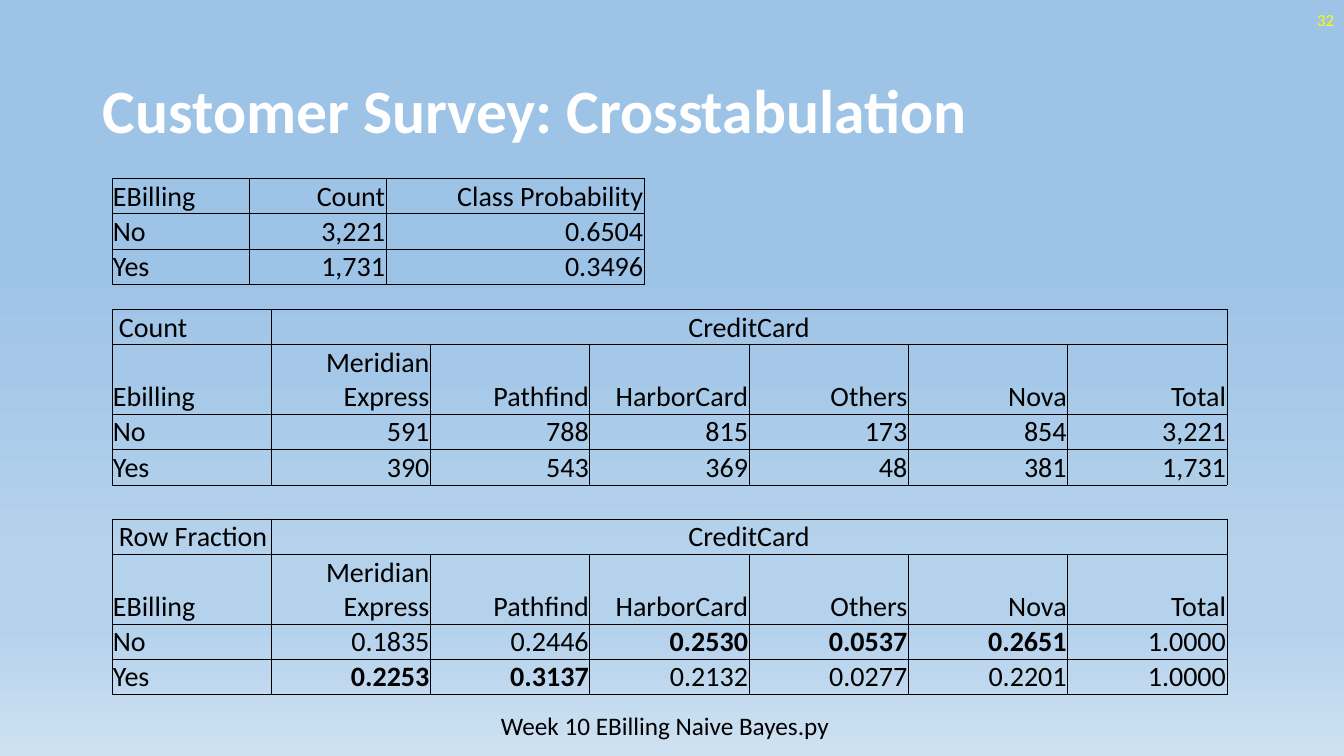
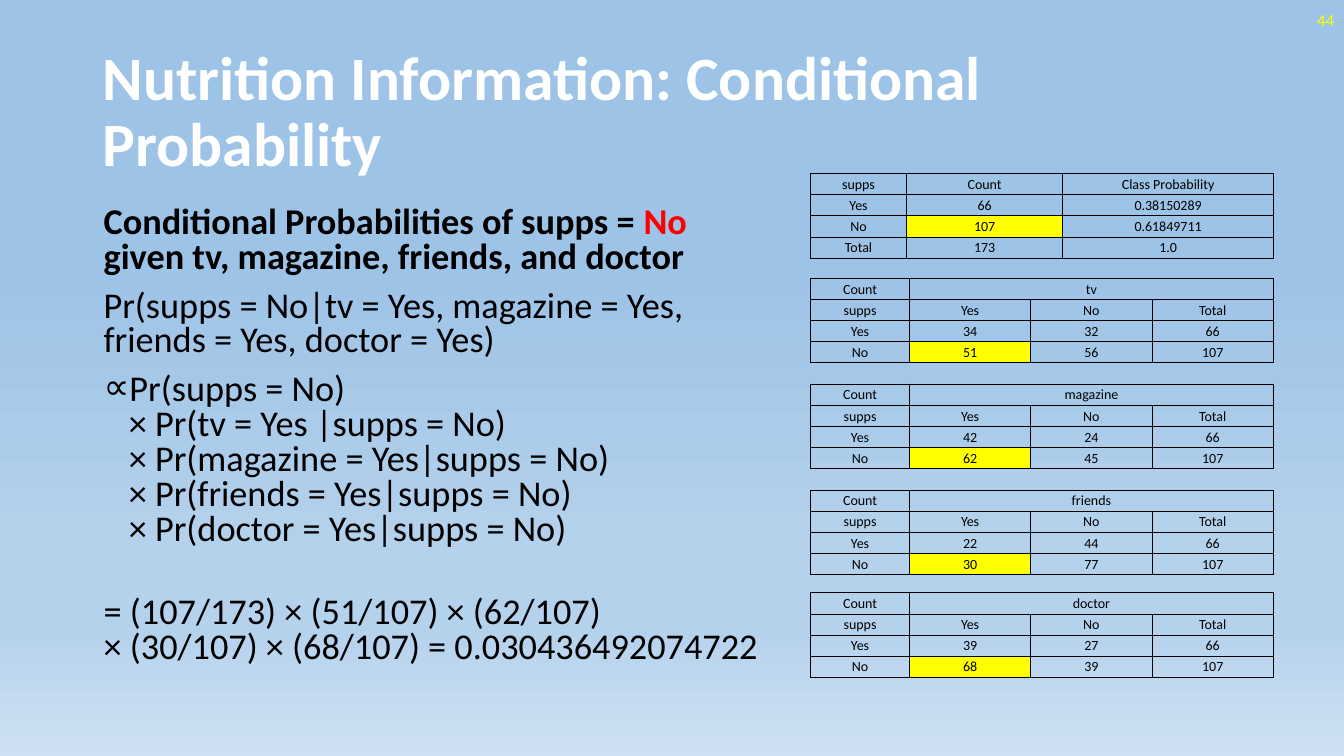
from dataclasses import dataclass

import lxml.etree
import pptx
import pptx.dml.color
import pptx.enum.text
import pptx.oxml.ns
import pptx.presentation
import pptx.shapes.autoshape
import pptx.slide
import pptx.table
import pptx.text.text
import pptx.util

Inches = pptx.util.Inches
Pt = pptx.util.Pt
Align = pptx.enum.text.PP_ALIGN
Anchor = pptx.enum.text.MSO_ANCHOR
qn = pptx.oxml.ns.qn

FONT = "Calibri"
BLACK, WHITE, RED, YELLOW = "000000", "FFFFFF", "FF0000", "FFFF00"
BACKGROUND_STOPS = [(35, "9DC3E6"), (74, "B5D2EC"), (83, "B5D2EC"), (100, "CEE1F2")]
TITLE_ONLY_LAYOUT = 5


@dataclass
class TableStyle:
    size: float
    anchor: Anchor
    label_align: Align
    value_align: Align


@dataclass
class GridTable:
    """A row shorter than the column list spans its last cell to the right edge."""
    left: float
    top: float
    columns: list[float]
    heights: list[float]
    rows: list[list[str]]
    bold: frozenset[str] = frozenset()
    highlighted: tuple[int, int] | None = None
    corner_inset: float = 0.01


@dataclass
class TextRun:
    text: str
    color: str = BLACK
    bold: bool = False


@dataclass
class TextParagraph:
    runs: list[TextRun]
    space_before: float = 10
    bullet: str = ""


SURVEY_STYLE = TableStyle(20, Anchor.BOTTOM, Align.LEFT, Align.RIGHT)
NUTRITION_STYLE = TableStyle(10, Anchor.MIDDLE, Align.CENTER, Align.CENTER)

CARDS = ["Meridian Express", "Pathfind", "HarborCard", "Others", "Nova", "Total"]
SURVEY_LEFT = 1.11
SURVEY_ROW = 0.35
CROSSTAB_COLUMNS = [1.58] * 7
CROSSTAB_HEIGHTS = [SURVEY_ROW, 0.69, SURVEY_ROW, SURVEY_ROW]
SURVEY_TABLES = [
    GridTable(SURVEY_LEFT, 1.77, [1.36, 1.36, 2.56], [SURVEY_ROW] * 3, [
        ["EBilling", "Count", "Class Probability"],
        ["No", "3,221", "0.6504"],
        ["Yes", "1,731", "0.3496"],
    ]),
    GridTable(SURVEY_LEFT, 3.07, CROSSTAB_COLUMNS, CROSSTAB_HEIGHTS, [
        ["Count", "CreditCard"],
        ["Ebilling", *CARDS],
        ["No", "591", "788", "815", "173", "854", "3,221"],
        ["Yes", "390", "543", "369", "48", "381", "1,731"],
    ], corner_inset=0.07),
    GridTable(SURVEY_LEFT, 5.15, CROSSTAB_COLUMNS, CROSSTAB_HEIGHTS, [
        ["Row Fraction", "CreditCard"],
        ["EBilling", *CARDS],
        ["No", "0.1835", "0.2446", "0.2530", "0.0537", "0.2651", "1.0000"],
        ["Yes", "0.2253", "0.3137", "0.2132", "0.0277", "0.2201", "1.0000"],
    ], bold=frozenset({"0.2530", "0.0537", "0.2651", "0.2253", "0.3137"}), corner_inset=0.07),
]

NUTRITION_LEFT, NUTRITION_WIDTH = 8.04, 4.59
NUTRITION_LABEL = 0.98
NUTRITION_HEIGHTS = [0.21] * 4
CLASS_TABLE = GridTable(NUTRITION_LEFT, 1.72, [0.95, 1.55, 2.09], NUTRITION_HEIGHTS, [
    ["supps", "Count", "Class Probability"],
    ["Yes", "66", "0.38150289"],
    ["No", "107", "0.61849711"],
    ["Total", "173", "1.0"],
], highlighted=(2, 1))


def source_table(top: float, source: str, yes_counts: list[str],
                 no_counts: list[str]) -> GridTable:
    value_width = (NUTRITION_WIDTH - NUTRITION_LABEL) / 3
    return GridTable(NUTRITION_LEFT, top, [NUTRITION_LABEL] + [value_width] * 3,
                     NUTRITION_HEIGHTS, [
                         ["Count", source],
                         ["supps", "Yes", "No", "Total"],
                         ["Yes", *yes_counts, "66"],
                         ["No", *no_counts, "107"],
                     ], highlighted=(3, 1))


NUTRITION_TABLES = [
    CLASS_TABLE,
    source_table(2.76, "tv", ["34", "32"], ["51", "56"]),
    source_table(3.81, "magazine", ["42", "24"], ["62", "45"]),
    source_table(4.86, "friends", ["22", "44"], ["30", "77"]),
    source_table(5.88, "doctor", ["39", "27"], ["68", "39"]),
]

DERIVATION = [
    TextParagraph([
        TextRun("Conditional Probabilities of supps = ", bold=True),
        TextRun("No", RED, True),
        TextRun(" given tv, magazine, friends, and doctor", bold=True),
    ], space_before=0),
    TextParagraph([TextRun("Pr(supps = No|tv = Yes, magazine = Yes,\n"
                           "friends = Yes, doctor = Yes)")]),
    TextParagraph([TextRun("Pr(supps = No)\n"
                           "× Pr(tv = Yes |supps = No)\n"
                           "× Pr(magazine = Yes|supps = No)\n"
                           "× Pr(friends = Yes|supps = No)\n"
                           "× Pr(doctor = Yes|supps = No)")], bullet="∝"),
    TextParagraph([TextRun("= (107/173) × (51/107) × (62/107)\n"
                           "× (30/107) × (68/107) = 0.030436492074722")], space_before=35),
]


def rgb(color: str) -> pptx.dml.color.RGBColor:
    return pptx.dml.color.RGBColor.from_string(color)


def add_run(paragraph: pptx.text.text._Paragraph, text: str, size: float,
            color: str = BLACK, bold: bool = False) -> None:
    """Add text to a paragraph, turning each newline into a line break."""
    for index, line in enumerate(text.split("\n")):
        if index:
            paragraph.add_line_break()
        run = paragraph.add_run()
        run.text = line
        run.font.name = FONT
        run.font.size = Pt(size)
        run.font.bold = bold
        run.font.color.rgb = rgb(color)


def set_background(presentation: pptx.presentation.Presentation) -> None:
    fill = presentation.slide_master.background.fill
    fill.gradient()
    fill.gradient_angle = 270
    stop_list = next(presentation.slide_master.element.iter(qn("a:gsLst")))
    for stop in list(stop_list):
        stop_list.remove(stop)
    for position, color in BACKGROUND_STOPS:
        stop = lxml.etree.SubElement(stop_list, qn("a:gs"), pos=str(position * 1000))
        lxml.etree.SubElement(stop, qn("a:srgbClr"), val=color)


def add_text_box(slide: pptx.slide.Slide, left: float, top: float, width: float,
                 height: float) -> pptx.text.text.TextFrame:
    shape = slide.shapes.add_textbox(Inches(left), Inches(top), Inches(width), Inches(height))
    shape.text_frame.word_wrap = True
    return shape.text_frame


def add_slide(presentation: pptx.presentation.Presentation, title: str,
              number: str) -> pptx.slide.Slide:
    slide = presentation.slides.add_slide(presentation.slide_layouts[TITLE_ONLY_LAYOUT])
    shape = slide.shapes.title
    shape.left, shape.top = Inches(0.92), Inches(0.4)
    shape.width, shape.height = Inches(11.5), Inches(1.45)
    frame = shape.text_frame
    frame.auto_size = pptx.enum.text.MSO_AUTO_SIZE.NONE
    frame.vertical_anchor = Anchor.MIDDLE
    paragraph = frame.paragraphs[0]
    paragraph.alignment = Align.LEFT
    paragraph.line_spacing = 0.9
    add_run(paragraph, title, 44, WHITE, True)

    frame = add_text_box(slide, 10.33, 0, 3, 0.4)
    frame.vertical_anchor = Anchor.MIDDLE
    frame.paragraphs[0].alignment = Align.RIGHT
    add_run(frame.paragraphs[0], number, 12, YELLOW)
    return slide


def add_borders(cell: pptx.table._Cell) -> None:
    properties = cell._tc.get_or_add_tcPr()
    for side in ("L", "R", "T", "B"):
        line = lxml.etree.SubElement(properties, qn(f"a:ln{side}"), w=str(Pt(0.5)))
        fill = lxml.etree.SubElement(line, qn("a:solidFill"))
        lxml.etree.SubElement(fill, qn("a:srgbClr"), val=BLACK)


def add_grid_table(slide: pptx.slide.Slide, grid: GridTable, style: TableStyle) -> None:
    column_count = len(grid.columns)
    table = slide.shapes.add_table(
        len(grid.rows), column_count, Inches(grid.left), Inches(grid.top),
        Inches(sum(grid.columns)), Inches(sum(grid.heights))).table
    table.first_row = table.horz_banding = False
    for column, width in zip(table.columns, grid.columns):
        column.width = Inches(width)
    for row, height in zip(table.rows, grid.heights):
        row.height = Inches(height)

    for row_index, texts in enumerate(grid.rows):
        spans = len(texts) < column_count
        for column_index in range(column_count):
            cell = table.cell(row_index, column_index)
            cell.margin_left = cell.margin_right = cell.margin_top = Inches(0.01)
            cell.margin_bottom = 0
            cell.vertical_anchor = style.anchor
            add_borders(cell)
            if (row_index, column_index) == grid.highlighted:
                cell.fill.solid()
                cell.fill.fore_color.rgb = rgb(YELLOW)
            else:
                cell.fill.background()
            if column_index >= len(texts):
                continue
            text = texts[column_index]
            paragraph = cell.text_frame.paragraphs[0]
            if column_index == 0:
                paragraph.alignment = style.label_align
            else:
                paragraph.alignment = Align.CENTER if spans else style.value_align
            add_run(paragraph, text, style.size, bold=text in grid.bold)
        if spans:
            first = table.cell(row_index, len(texts) - 1)
            first.merge(table.cell(row_index, column_count - 1))
    table.cell(0, 0).margin_left = Inches(grid.corner_inset)


def add_bullet(paragraph: pptx.text.text._Paragraph, character: str) -> None:
    properties = paragraph._p.get_or_add_pPr()
    properties.set("marL", str(Inches(0.25)))
    properties.set("indent", str(-Inches(0.25)))
    lxml.etree.SubElement(properties, qn("a:buFont"), typeface=FONT)
    lxml.etree.SubElement(properties, qn("a:buChar"), char=character)


def add_derivation(slide: pptx.slide.Slide) -> None:
    frame = add_text_box(slide, 0.93, 2, 6.73, 4.76)
    for index, content in enumerate(DERIVATION):
        paragraph = frame.add_paragraph() if index else frame.paragraphs[0]
        if content.bullet:
            add_bullet(paragraph, content.bullet)
        paragraph.line_spacing = 0.8
        paragraph.space_before = Pt(content.space_before)
        for run in content.runs:
            add_run(paragraph, run.text, 25.9, run.color, run.bold)


def build_survey_slide(presentation: pptx.presentation.Presentation) -> None:
    slide = add_slide(presentation, "Customer Survey: Crosstabulation", "32")
    for grid in SURVEY_TABLES:
        add_grid_table(slide, grid, SURVEY_STYLE)
    frame = add_text_box(slide, 4.87, 7, 3.49, 0.4)
    frame.word_wrap = False
    add_run(frame.paragraphs[0], "Week 10 EBilling Naive Bayes.py", 18)


def build_nutrition_slide(presentation: pptx.presentation.Presentation) -> None:
    slide = add_slide(presentation, "Nutrition Information: Conditional Probability", "44")
    add_derivation(slide)
    for grid in NUTRITION_TABLES:
        add_grid_table(slide, grid, NUTRITION_STYLE)


def main() -> None:
    presentation = pptx.Presentation()
    presentation.slide_width = Inches(13.33)
    presentation.slide_height = Inches(7.5)
    set_background(presentation)
    build_survey_slide(presentation)
    build_nutrition_slide(presentation)
    presentation.save("out.pptx")


if __name__ == "__main__":
    main()
